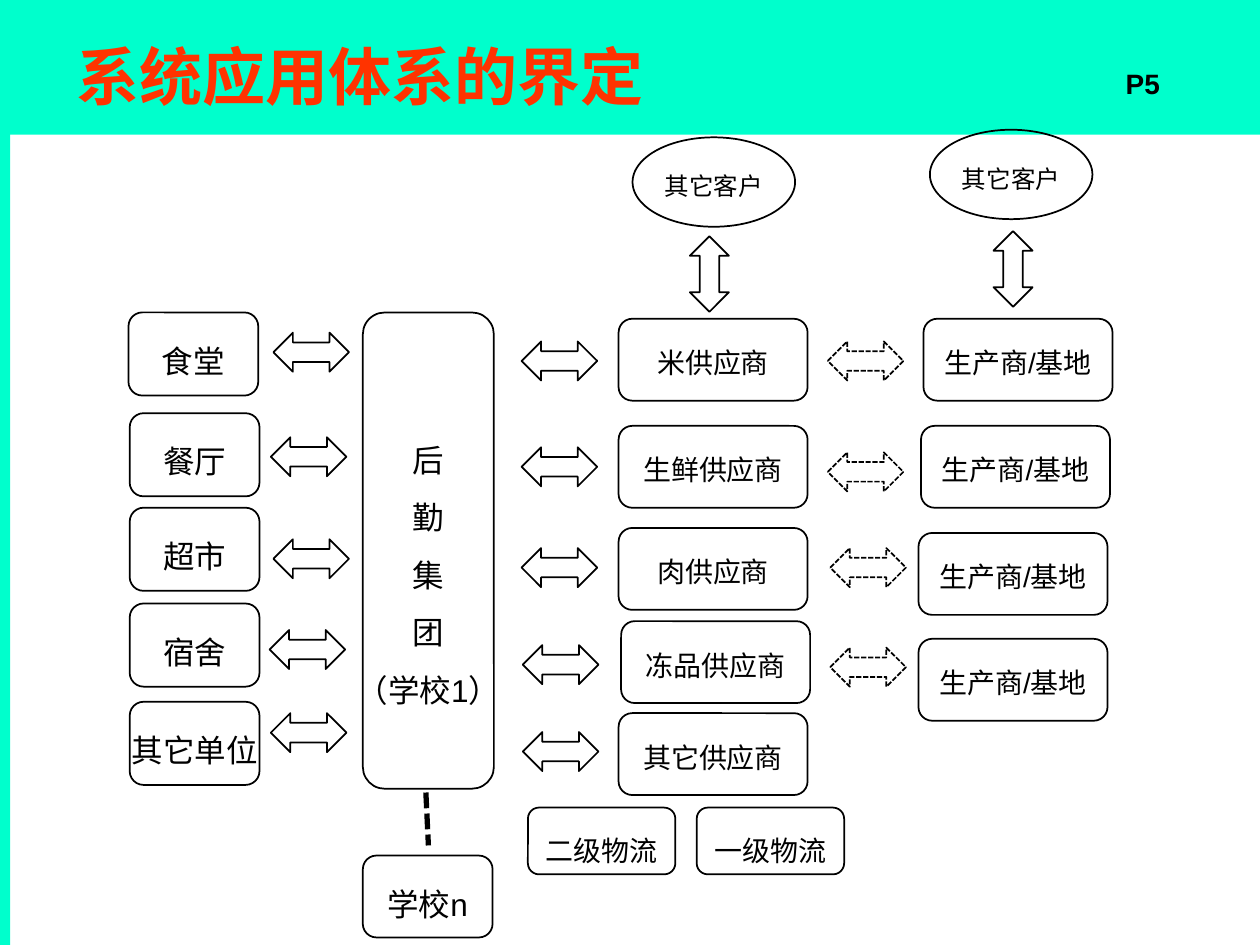
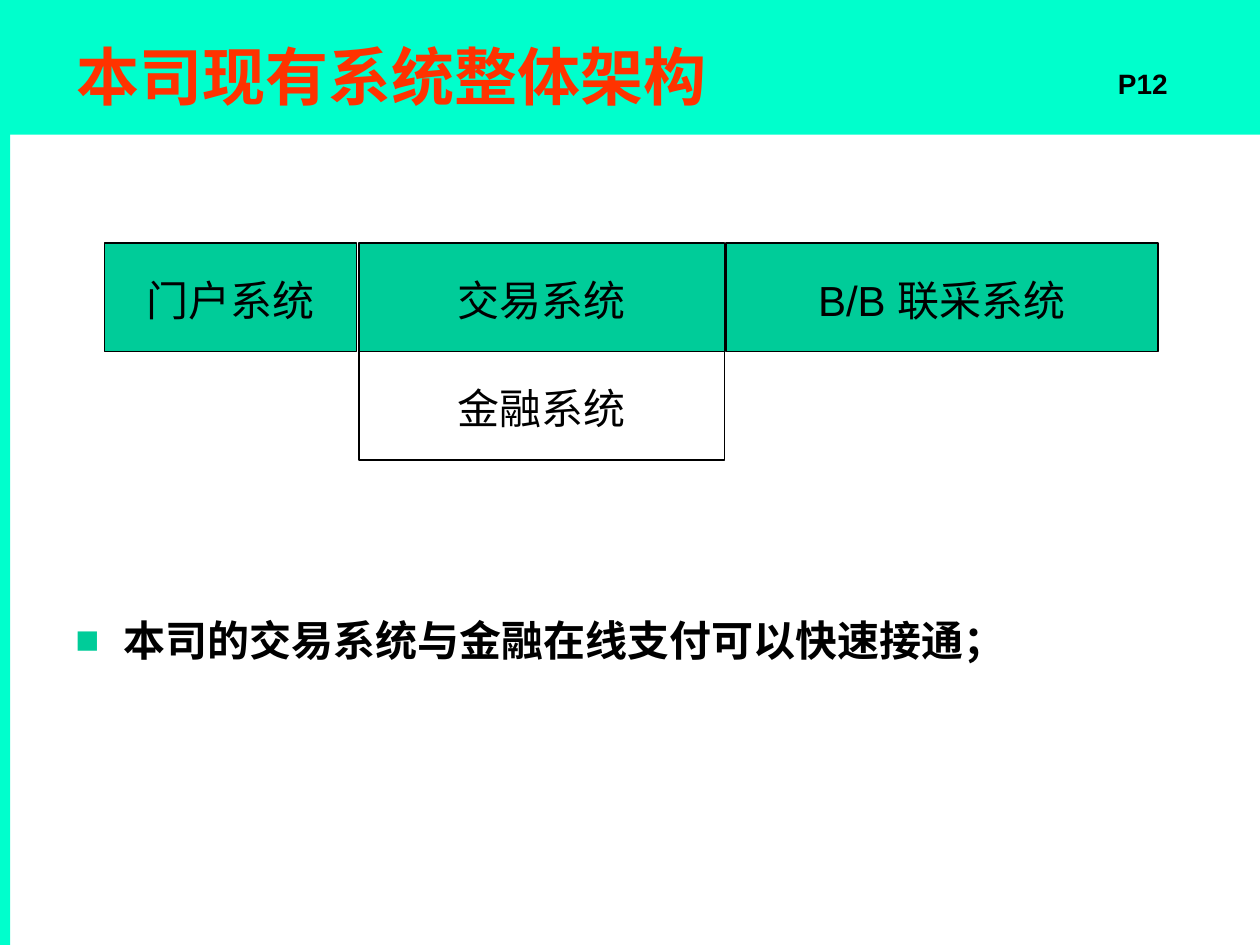
from lxml.etree import SubElement
from pptx import Presentation
from pptx.dml.color import RGBColor
from pptx.enum.dml import MSO_LINE
from pptx.enum.shapes import MSO_CONNECTOR, MSO_SHAPE
from pptx.enum.text import MSO_ANCHOR, PP_ALIGN
from pptx.oxml.ns import qn
from pptx.util import Inches, Pt

COLORS = {"band": "00FFCC", "title": "FF3300", "system": "00CC99", "ink": "000000"}
FONT = "Arial"
CORNER = 0.167
ARROW_SIZE = (0.6, 0.31)


def color(name):
    return RGBColor.from_string(COLORS[name])


def write(box, text, *, size, ink="ink", bold=False, align=PP_ALIGN.CENTER,
          anchor=MSO_ANCHOR.TOP, wrap=False, line_spacing=None, before=0):
    """Fill the box with one paragraph per line of text."""
    frame = box.text_frame
    frame.word_wrap = wrap
    frame.vertical_anchor = anchor
    for index, line in enumerate(text.split("\n")):
        para = frame.add_paragraph() if index else frame.paragraphs[0]
        para.alignment = align
        para.space_before = Pt(before)
        if line_spacing:
            para.line_spacing = line_spacing
        span = para.add_run()
        span.text = line
        span.font.name = FONT
        span.font.size = Pt(size)
        span.font.bold = bold
        span.font.color.rgb = color(ink)
    return frame


def add_figure(page, kind, left, top, width, height, *, fill=None, outline=True, dash=None):
    figure = page.shapes.add_shape(kind, Inches(left), Inches(top), Inches(width), Inches(height))
    figure.shadow.inherit = False
    if fill:
        figure.fill.solid()
        figure.fill.fore_color.rgb = color(fill)
    else:
        figure.fill.background()
    if outline:
        figure.line.color.rgb = color("ink")
        figure.line.width = Pt(1)
        if dash:
            figure.line.dash_style = dash
    else:
        figure.line.fill.background()
    return figure


def add_label(page, text, left, top, width, height, *, size,
              kind=MSO_SHAPE.ROUNDED_RECTANGLE, corner=CORNER, fill=None):
    label = add_figure(page, kind, left, top, width, height, fill=fill)
    if kind == MSO_SHAPE.ROUNDED_RECTANGLE:
        label.adjustments[0] = corner
    write(label, text, size=size, line_spacing=1.5, before=size * 0.625)


def add_arrow(page, left, top, *, dash=None, rotation=0):
    arrow = add_figure(page, MSO_SHAPE.LEFT_RIGHT_ARROW, left, top, *ARROW_SIZE, dash=dash)
    arrow.rotation = rotation


def add_text_box(page, left, top, width, height):
    return page.shapes.add_textbox(Inches(left), Inches(top), Inches(width), Inches(height))


def add_page(deck, title_text, page_number):
    """Add a title-only page with the shared bands, title and page number."""
    page = deck.slides.add_slide(deck.slide_layouts[5])
    title = page.shapes.title
    title.left, title.top = Inches(0.51), Inches(0.15)
    title.width, title.height = Inches(7.98), Inches(0.89)
    write(title, title_text, size=36, ink="title", bold=True, align=PP_ALIGN.LEFT,
          anchor=MSO_ANCHOR.MIDDLE, wrap=True)
    for bounds in ((0.08, 0, 9.92, 1.07), (0, 0, 0.08, 7.5)):
        band = add_figure(page, MSO_SHAPE.RECTANGLE, *bounds, fill="band", outline=False)
        title.element.addprevious(band.element)
    write(add_text_box(page, 8.67, 0.48, 0.8, 0.37), page_number, size=16, bold=True, wrap=True)
    return page


def add_units(page, left, top):
    """Column of canteen units, each with an arrow to the school group."""
    units = [  # name, box offset, arrow offset
        ("食堂", (-0.01, 0), (1.14, 0.16)),
        ("餐厅", (0, 0.8), (1.12, 0.99)),
        ("超市", (0, 1.55), (1.14, 1.8)),
        ("宿舍", (0, 2.31), (1.11, 2.52)),
        ("其它单位", (0, 3.09), (1.12, 3.18)),
    ]
    for name, (box_x, box_y), (arrow_x, arrow_y) in units:
        add_label(page, name, left + box_x, top + box_y, 1.03, 0.66, size=18)
        add_arrow(page, left + arrow_x, top + arrow_y)


def add_school_group(page, left, top):
    group = add_figure(page, MSO_SHAPE.ROUNDED_RECTANGLE, left, top, 1.04, 3.78)
    group.adjustments[0] = CORNER
    frame = write(group, "后\n勤\n集\n团\n（学校1）", size=18, before=11.2)
    frame.margin_top = Inches(0.97)
    add_label(page, "学校n", left, top + 4.31, 1.03, 0.65, size=18)
    link = page.shapes.add_connector(MSO_CONNECTOR.STRAIGHT, Inches(left + 0.5), Inches(top + 3.81),
                                     Inches(left + 0.52), Inches(top + 4.23))
    link.line.color.rgb = color("ink")
    link.line.width = Pt(3)
    link.line.dash_style = MSO_LINE.SQUARE_DOT
    SubElement(link.element.spPr, qn("a:effectLst"))


def add_trade_column(page, left, top, rows, *, dash=None):
    """Column of trading partners, each with an arrow on its left."""
    for name, (box_x, box_y), (arrow_x, arrow_y) in rows:
        add_label(page, name, left + box_x, top + box_y, 1.5, 0.65, size=16)
        add_arrow(page, left + arrow_x, top + arrow_y, dash=dash)


def add_customer(page, left, top, arrow_x, arrow_y):
    add_label(page, "其它客户", left, top, 1.29, 0.71, size=14, kind=MSO_SHAPE.OVAL)
    add_arrow(page, left + arrow_x, top + arrow_y, rotation=90)


def add_logistics(page, left, top):
    for index, name in enumerate(("二级物流", "一级物流")):
        add_label(page, name, left + 1.34 * index, top, 1.17, 0.53, size=16)


def build_scope_page(deck):
    page = add_page(deck, "系统应用体系的界定", "P5")
    add_units(page, 1.03, 2.48)
    add_school_group(page, 2.88, 2.48)
    add_trade_column(page, 4.91, 2.53, [
        ("米供应商", (0, 0), (-0.77, 0.18)),
        ("生鲜供应商", (0, 0.85), (-0.77, 1.02)),
        ("肉供应商", (0, 1.66), (-0.77, 1.82)),
        ("冻品供应商", (0.02, 2.4), (-0.76, 2.59)),
        ("其它供应商", (0, 3.13), (-0.76, 3.28)),
    ])
    producer_places = [
        ((0.04, 0), (-0.72, 0.18)),
        ((0.02, 0.85), (-0.72, 1.06)),
        ((0, 1.7), (-0.7, 1.82)),
        ((0, 2.54), (-0.7, 2.61)),
    ]
    add_trade_column(page, 7.29, 2.53, [("生产商/基地", *place) for place in producer_places],
                     dash=MSO_LINE.SQUARE_DOT)
    add_customer(page, 5.02, 1.09, 0.31, 0.93)
    add_customer(page, 7.38, 1.03, 0.36, 0.95)
    add_logistics(page, 4.19, 6.41)


def add_systems(page, left, top):
    """Row of existing systems, with the finance system under the trading one."""
    height = 0.86
    systems = [
        ("门户系统", 0, 0, 2, "system"),
        ("交易系统", 2.02, 0, 2.9, "system"),
        ("B/B 联采系统", 4.93, 0, 3.43, "system"),
        ("金融系统", 2.02, height, 2.9, None),
    ]
    for name, x, y, width, fill in systems:
        add_label(page, name, left + x, top + y, width, height, size=24, corner=0, fill=fill)


def add_bullet_note(page, text, left, top, width, height):
    frame = write(add_text_box(page, left, top, width, height), text, size=24, bold=True,
                  align=PP_ALIGN.LEFT, wrap=True, before=6)
    properties = frame.paragraphs[0]._p.get_or_add_pPr()
    indent = Inches(0.38)
    properties.set("marL", str(indent))
    properties.set("indent", str(-indent))
    bullet_color = SubElement(properties, qn("a:buClr"))
    SubElement(bullet_color, qn("a:srgbClr"), val=COLORS["system"])
    SubElement(properties, qn("a:buSzPct"), val="95000")
    SubElement(properties, qn("a:buFont"), typeface=FONT)
    SubElement(properties, qn("a:buChar"), char="■")


def build_architecture_page(deck):
    page = add_page(deck, "本司现有系统整体架构", "P12")
    add_systems(page, 0.83, 1.93)
    add_bullet_note(page, "本司的交易系统与金融在线支付可以快速接通；", 0.5, 4.83, 9.05, 1.33)


def main():
    deck = Presentation()
    deck.slide_width, deck.slide_height = Inches(10), Inches(7.5)
    build_scope_page(deck)
    build_architecture_page(deck)
    deck.save("out.pptx")


if __name__ == "__main__":
    main()
